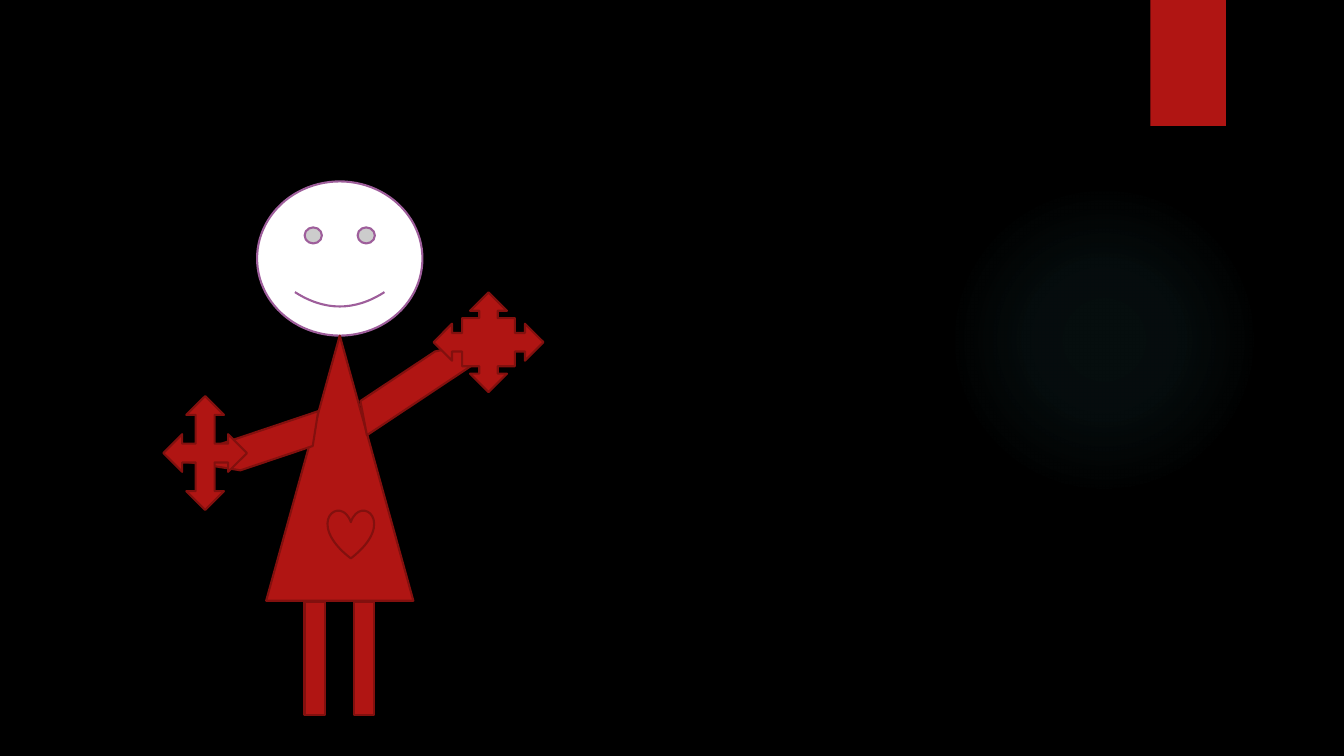
from lxml import etree
from pptx import Presentation
from pptx.dml.color import RGBColor
from pptx.enum.shapes import MSO_SHAPE
from pptx.oxml.ns import qn
from pptx.util import Inches, Pt

OVAL, RECT = MSO_SHAPE.OVAL, MSO_SHAPE.RECTANGLE
FACE, HEART = MSO_SHAPE.SMILEY_FACE, MSO_SHAPE.HEART
DRESS, ARM = MSO_SHAPE.ISOSCELES_TRIANGLE, MSO_SHAPE.DIAGONAL_STRIPE
HAND, PALM = MSO_SHAPE.QUAD_ARROW, MSO_SHAPE.QUAD_ARROW_CALLOUT

COLORS = {
    "back": "000000",
    "red": "B01513",
    "edge": "82100E",
    "white": "FFFFFF",
    "plum": "9E5E9B",
    "teal": "50B9C1",
}


def color(name):
    return RGBColor.from_string(COLORS[name])


def add_part(shapes, kind, box, fill="red", line="edge", turn=0):
    part = shapes.add_shape(kind, *map(Inches, box))
    part.shadow.inherit = False
    part.rotation = turn
    part.fill.solid()
    part.fill.fore_color.rgb = color(fill)
    if line:
        part.line.color.rgb = color(line)
        part.line.width = Pt(1.5)
    else:
        part.line.fill.background()
    return part


def add_glow(shapes, box, name, stops):
    """Circle that fades out from its centre; stops are (place, opacity) in percent."""
    glow = add_part(shapes, OVAL, box, name, None)
    solid = glow.element.spPr.find(qn("a:solidFill"))
    grad = etree.Element(qn("a:gradFill"), rotWithShape="1")
    stop_list = etree.SubElement(grad, qn("a:gsLst"))
    for place, alpha in stops:
        stop = etree.SubElement(stop_list, qn("a:gs"), pos=str(place * 1000))
        tint = etree.SubElement(stop, qn("a:srgbClr"), val=COLORS[name])
        etree.SubElement(tint, qn("a:alpha"), val=str(alpha * 1000))
    fade = etree.SubElement(grad, qn("a:path"))
    fade.set("path", "circle")
    etree.SubElement(fade, qn("a:fillToRect"), {side: "50000" for side in "ltrb"})
    solid.getparent().replace(solid, grad)


def add_girl(slide):
    parts = slide.shapes.add_group_shape().shapes
    # Head, dress and legs
    add_part(parts, FACE, (2.55, 1.8, 1.64, 1.53), "white", "plum")
    add_part(parts, DRESS, (2.64, 3.33, 1.46, 2.63))
    for left in (3.02, 3.51):
        add_part(parts, RECT, (left, 5.97, 0.2, 1.12))
    # Arms, each with its hand
    add_part(parts, ARM, (3.56, 3.48, 1.64, 0.69), turn=349.2)
    add_part(parts, PALM, (4.3, 2.9, 1.09, 0.99))
    add_part(parts, ARM, (1.77, 3.97, 1.34, 0.7), turn=189)
    add_part(parts, HAND, (1.62, 3.93, 0.83, 1.13))
    # Heart on the dress
    add_part(parts, HEART, (3.25, 5.06, 0.46, 0.48))


def main():
    deck = Presentation()
    deck.slide_width, deck.slide_height = Inches(13.33), Inches(7.5)
    slide = deck.slides.add_slide(deck.slide_layouts[6])

    # Backdrop
    slide.background.fill.solid()
    slide.background.fill.fore_color.rgb = color("back")
    add_glow(slide.shapes, (9.41, 1.83, 3.08, 3.08), "teal",
             [(0, 7), (36, 6), (69, 0)])
    add_part(slide.shapes, RECT, (11.41, 0, 0.75, 1.25), line=None)

    # Figure
    add_girl(slide)
    deck.save("out.pptx")


if __name__ == "__main__":
    main()
